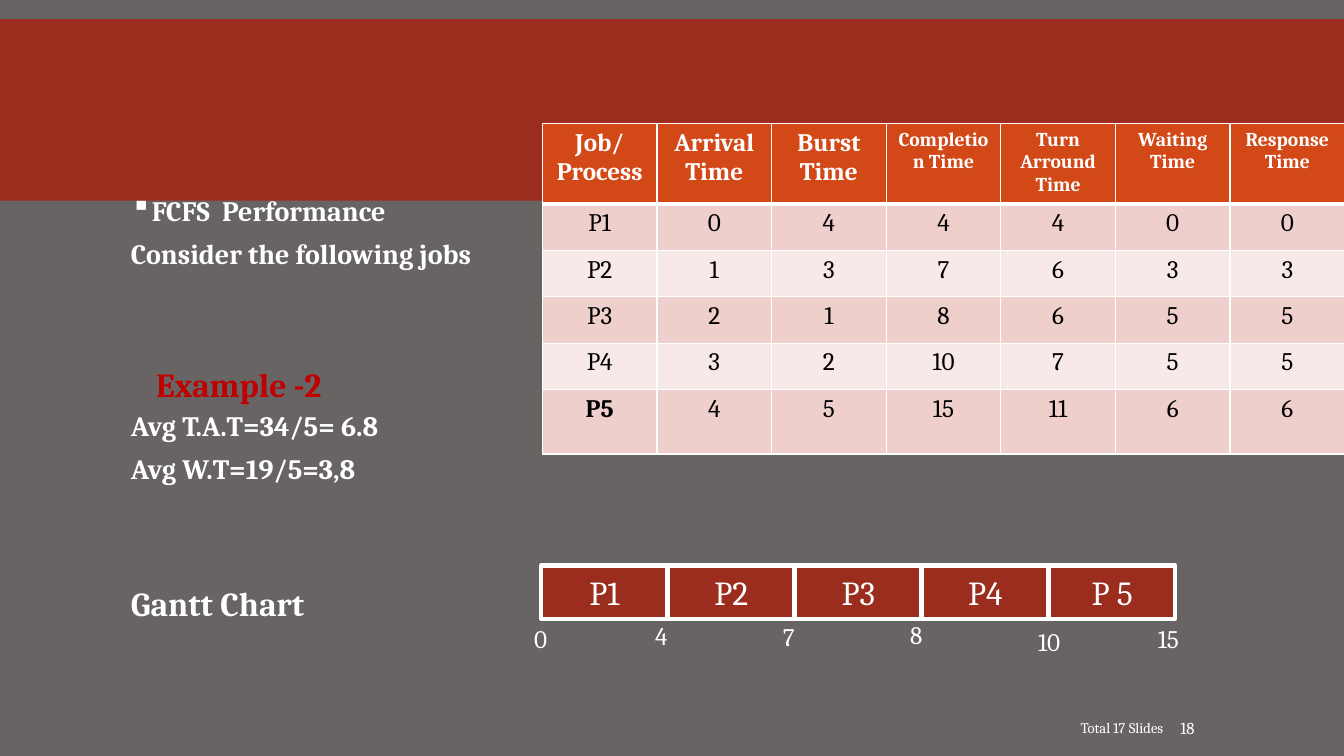
"""Build the FCFS scheduling example slide with its job table and Gantt chart."""
from lxml.etree import SubElement
from pptx import Presentation
from pptx.dml.color import RGBColor
from pptx.enum.shapes import MSO_SHAPE as Shape
from pptx.enum.text import MSO_ANCHOR as Anchor, PP_ALIGN as Align
from pptx.oxml.ns import qn
from pptx.util import Pt

FONT = "Cambria"
WHITE = RGBColor(0xFF, 0xFF, 0xFF)
BLACK = RGBColor(0, 0, 0)
GREY = RGBColor(0x69, 0x64, 0x64)
BRICK = RGBColor(0x9B, 0x2D, 0x1F)
ORANGE = RGBColor(0xD3, 0x48, 0x17)
RED = RGBColor(0xC0, 0, 0)
BANDS = RGBColor(0xEF, 0xCF, 0xCC), RGBColor(0xF7, 0xE9, 0xE8)

# (text, size, space before)
BODY = [
    ("FCFS  Performance", 20, 12),
    ("Consider the following jobs", 20, 12),
    ("Avg T.A.T=34/5= 6.8", 20, 104),
    ("Avg W.T=19/5=3,8", 20, 12),
    ("Gantt Chart", 24, 76.5),
]
HEADINGS = [
    ("Job/Process", 18), ("Arrival Time", 18), ("Burst Time", 18),
    ("Completion Time", 14), ("Turn Arround Time", 14),
    ("Waiting Time", 14), ("Response Time", 14),
]
JOBS = [
    ("P1", 0, 4, 4, 4, 0, 0),
    ("P2", 1, 3, 7, 6, 3, 3),
    ("P3", 2, 1, 8, 6, 5, 5),
    ("P4", 3, 2, 10, 7, 5, 5),
    ("P5", 4, 5, 15, 11, 6, 6),
]
ROW_HEIGHTS = [57.6, 33.1, 33.1, 33.1, 33.1, 46.1]
COLUMN_WIDTH = 81.87
GANTT = ["P1", "P2", "P3", "P4", "P 5"]
GANTT_LEFT, GANTT_PITCH = 386.7, 90.7
# (time, left, top, width)
TIMES = [
    ("0", 374.4, 442, 23), ("4", 460.8, 439.2, 35), ("7", 552.2, 440.6, 37),
    ("8", 643, 438.5, 45), ("10", 734.4, 443.5, 45), ("15", 820, 441.4, 45),
]


def style(para, size, color=WHITE, bold=False, align=Align.LEFT):
    para.alignment = align
    for span in para.runs:
        font = span.font
        font.name, font.size, font.bold = FONT, Pt(size), bold
        font.color.rgb = color


def add_text(page, area, text, size, anchor=Anchor.TOP, **look):
    box = page.shapes.add_textbox(*map(Pt, area))
    frame = box.text_frame
    frame.word_wrap, frame.vertical_anchor = True, anchor
    frame.text = text
    for para in frame.paragraphs:
        style(para, size, **look)
    return box


def add_block(page, area, fill):
    block = page.shapes.add_shape(Shape.RECTANGLE, *map(Pt, area))
    block.shadow.inherit = False
    block.fill.solid()
    block.fill.fore_color.rgb = fill
    block.line.fill.background()
    return block


def add_body(page):
    lines = [text for text, size, before in BODY]
    box = add_text(page, (86.4, 141.1, 787.7, 408.2), "\n".join(lines), 20, bold=True)
    paras = box.text_frame.paragraphs
    for para, (text, size, before) in zip(paras, BODY):
        style(para, size, bold=True)
        para.line_spacing = 0.7
        para.space_before, para.space_after = Pt(before), Pt(2)
    props = paras[0]._p.get_or_add_pPr()
    props.set("marL", str(Pt(14.4)))
    props.set("indent", str(Pt(-14.4)))
    SubElement(SubElement(props, qn("a:buClr")), qn("a:srgbClr"), val=str(WHITE))
    SubElement(props, qn("a:buChar"), char="▪")


def add_borders(cell, bottom):
    props = cell._tc.get_or_add_tcPr()
    for side, width in (("L", 1), ("R", 1), ("T", 1), ("B", bottom)):
        line = SubElement(props, qn(f"a:ln{side}"), w=str(Pt(width)))
        SubElement(SubElement(line, qn("a:solidFill")), qn("a:srgbClr"), val=str(WHITE))


def fill_cell(cell, text, size, color, bold, fill, bottom):
    add_borders(cell, bottom)
    cell.fill.solid()
    cell.fill.fore_color.rgb = fill
    cell.text = str(text)
    style(cell.text_frame.paragraphs[0], size, color, bold, Align.CENTER)


def add_jobs(page):
    rows, columns = len(JOBS) + 1, len(HEADINGS)
    area = (387.4, 88.2, COLUMN_WIDTH * columns, sum(ROW_HEIGHTS))
    table = page.shapes.add_table(rows, columns, *map(Pt, area)).table
    for row, height in zip(table.rows, ROW_HEIGHTS):
        row.height = Pt(height)
    for column in table.columns:
        column.width = Pt(COLUMN_WIDTH)
    for index, (heading, size) in enumerate(HEADINGS):
        fill_cell(table.cell(0, index), heading, size, WHITE, True, ORANGE, 3)
    for number, job in enumerate(JOBS):
        for index, value in enumerate(job):
            fill_cell(table.cell(number + 1, index), value, 18, BLACK,
                      value == "P5", BANDS[number % 2], 1)


def add_gantt(page):
    for index, job in enumerate(GANTT):
        block = add_block(page, (GANTT_LEFT + index * GANTT_PITCH, 403.9, 90, 38.2), BRICK)
        block.line.color.rgb = WHITE
        block.line.width = Pt(3)
        block.text_frame.text = job
        block.text_frame.vertical_anchor = Anchor.MIDDLE
        style(block.text_frame.paragraphs[0], 24, align=Align.CENTER)
    for time, left, top, width in TIMES:
        add_text(page, (left, top, width, 28.8), time, 18)


def main():
    deck = Presentation()
    deck.slide_width, deck.slide_height = Pt(960), Pt(540)
    page = deck.slides.add_slide(deck.slide_layouts[6])
    page.background.fill.solid()
    page.background.fill.fore_color.rgb = GREY
    add_block(page, (0, 13.7, 960, 129.6), BRICK)
    add_body(page)
    add_jobs(page)
    add_gantt(page)
    add_text(page, (104.4, 256.3, 214.6, 36), "Example -2", 24, color=RED, bold=True)
    number = add_text(page, (839.5, 505.4, 74.2, 28.8), "18", 12, Anchor.MIDDLE)
    number.text_frame.margin_left = Pt(3.6)
    add_text(page, (440.6, 505.4, 397.4, 28.8), "Total 17 Slides", 10.5,
             Anchor.MIDDLE, align=Align.RIGHT)
    deck.save("out.pptx")


if __name__ == "__main__":
    main()
